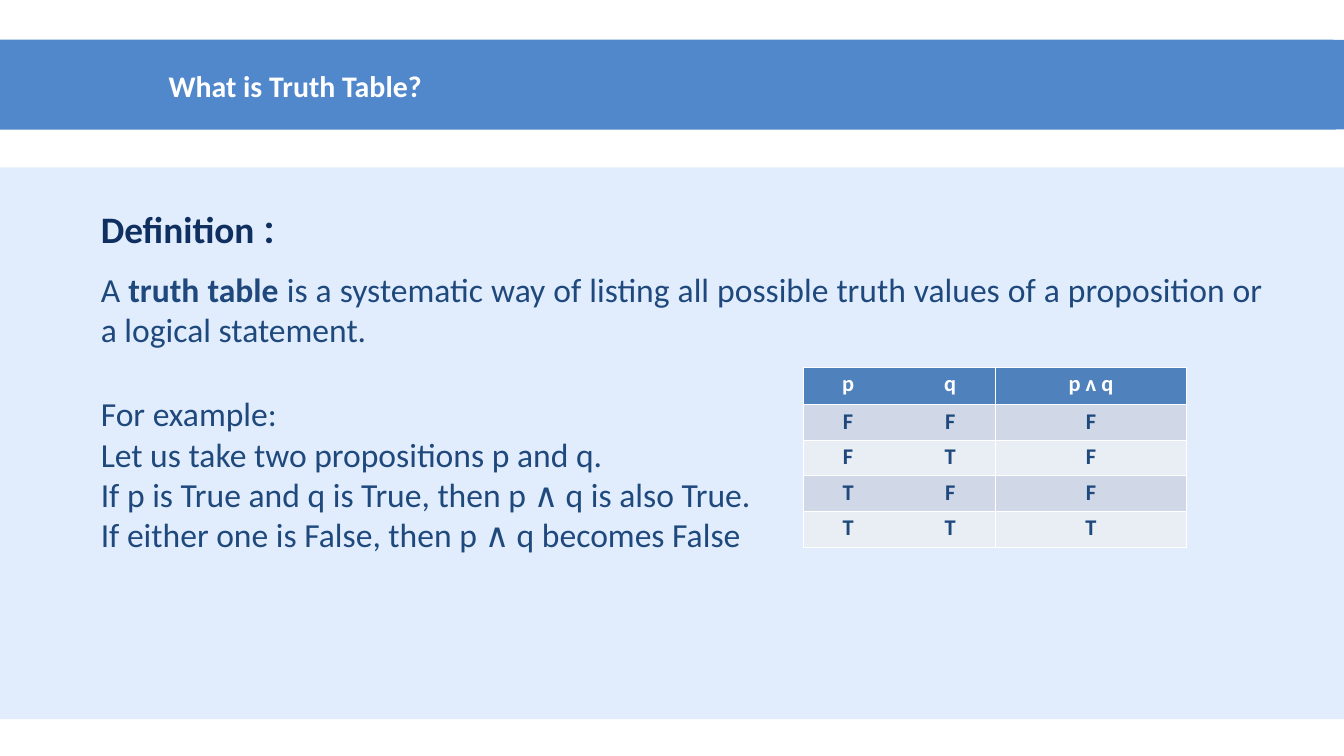
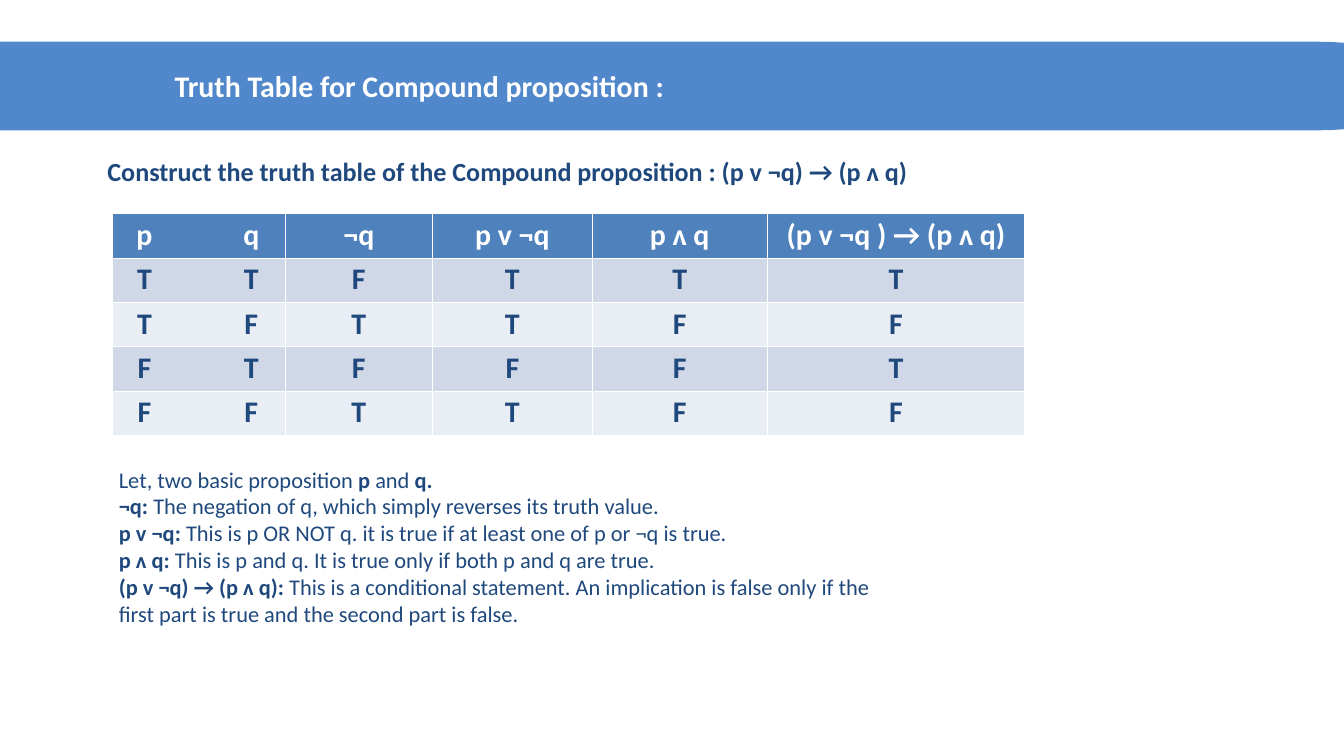
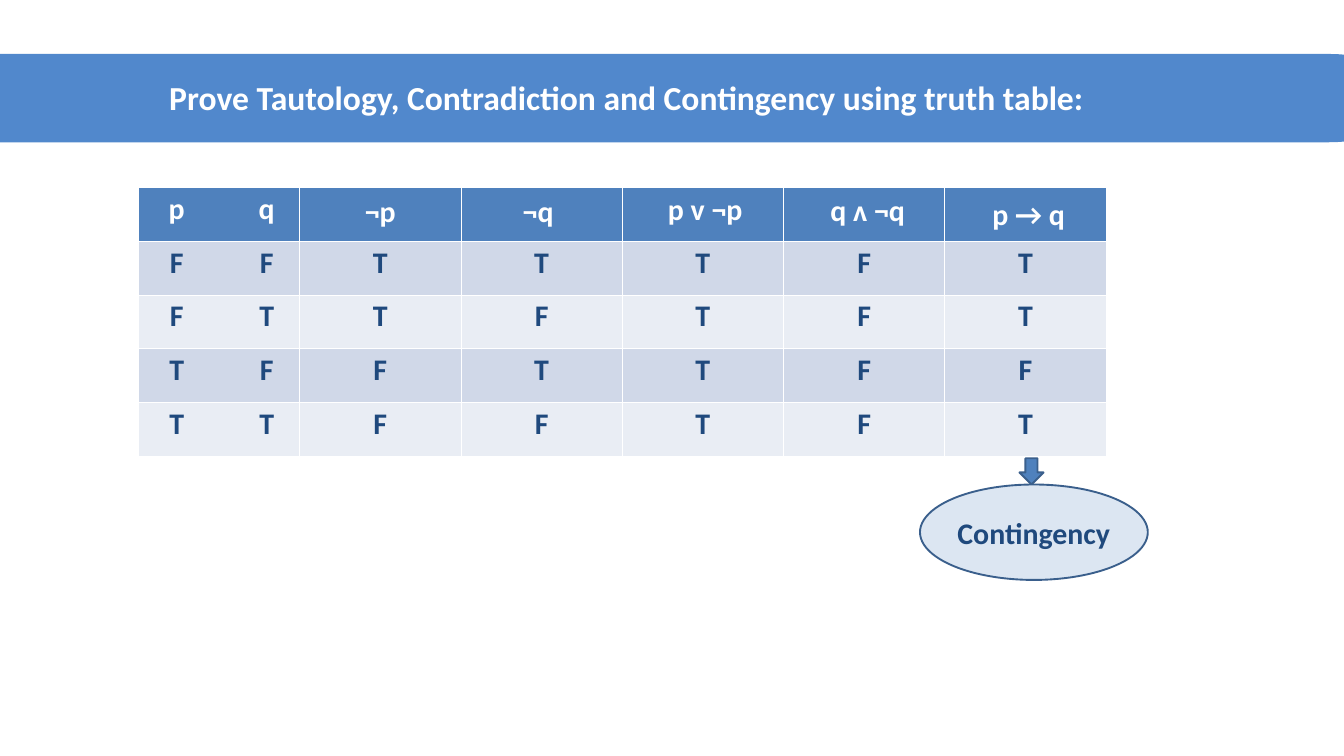
"""Build three slides that explain truth tables."""
from math import cos, pi, sin

from lxml.etree import SubElement
from pptx import Presentation
from pptx.dml.color import RGBColor
from pptx.enum.shapes import MSO_SHAPE as SHAPE
from pptx.enum.text import MSO_ANCHOR as ANCHOR, PP_ALIGN as ALIGN
from pptx.oxml.ns import qn
from pptx.util import Inches, Pt

rgb = RGBColor.from_string
WHITE, NAVY, INK = "FFFFFF", "0E2F5F", "1F497D"
BAND, PANEL, ACCENT = "5188CC", "E1EDFC", "4F81BD"
OUTLINE, BUBBLE = "3A5F8C", "DCE6F2"
STRIPES = ["D0D8E8", "E9EDF4"]
FONT = "Calibri"

prs = Presentation()
prs.slide_width, prs.slide_height = Inches(20), Inches(11.25)
COL = prs.slide_width // 20


def grid(*lengths):
    """Turn lengths counted in grid columns into slide units."""
    return [int(n * COL) for n in lengths]


def write(tf, paragraphs, size, color, align=ALIGN.LEFT):
    """Add paragraphs, with the parts between asterisks in bold."""
    for i, text in enumerate(paragraphs):
        p = tf.paragraphs[0] if i == 0 else tf.add_paragraph()
        p.alignment = align
        for k, part in enumerate(text.split("*")):
            if part:
                r = p.add_run()
                r.text = part
                f = r.font
                f.name, f.size, f.bold = FONT, Pt(size), k % 2 == 1
                f.color.rgb = rgb(color)


titles = [
    ("What is Truth Table?", -1.88, 0.59, 1.34, 2.41, 0.96, 32),
    ("Truth Table for Compound proposition :", -2.06, 0.62, 1.32, 2.5, 0.96, 32),
    ("Prove Tautology, Contradiction and Contingency using truth table:",
     -2, 0.8, 1.32, 2.42, 1.1, 36),
]
BAND_W, END_W, STEPS = 23.58, 1.94, 24
slides = []
for title, left, top, height, text_x, text_y, size in titles:
    s = prs.slides.add_slide(prs.slide_layouts[6])
    slides.append(s)
    if len(slides) == 1:
        sp = s.shapes.add_shape(SHAPE.ROUNDED_RECTANGLE, *grid(-0.67, 2.49, 21.15, 8.21))
        sp.adjustments[0] = 0.01
        sp.shadow.inherit = False
        sp.fill.solid()
        sp.fill.fore_color.rgb = rgb(PANEL)
        sp.line.fill.background()

    outline = []
    for center, start in [(left + BAND_W - END_W, -pi / 2), (left + END_W, pi / 2)]:
        for n in range(STEPS + 1):
            angle = start + pi * n / STEPS
            outline.append(grid(center + END_W * cos(angle),
                                top + height / 2 * (1 + sin(angle))))
    builder = s.shapes.build_freeform(*outline[0])
    builder.add_line_segments(outline[1:], close=True)
    band = builder.convert_to_shape()
    band.shadow.inherit = False
    band.fill.solid()
    band.fill.fore_color.rgb = rgb(BAND)
    band.line.fill.background()

    tf = s.shapes.add_textbox(*grid(text_x, text_y, 16.17, 0.64)).text_frame
    tf.word_wrap = True
    write(tf, [f"*{title}*"], size, WHITE)

definition, compound, proof = slides

tables = [
    (definition, 11.96, 5.46, [2.85] * 2, [0.56] + [0.53] * 4, 24, (0.56, 2.08),
     ["p q|p ʌ q", "F F|F", "F T|F", "T F|F", "T T|T"]),
    (compound, 1.67, 3.18, [2.57, 2.2, 2.37, 2.61, 3.83], [0.66] * 5, 32, (0.38, 1.97),
     ["p q|¬q|p v ¬q|p ʌ q|(p v ¬q ) → (p ʌ q)",
      "T T|F|T|T|T", "T F|T|T|F|F", "F T|F|F|F|T", "F F|T|T|F|F"]),
    (proof, 2.06, 2.79, [2.4] * 6, [0.8] * 5, 32, (0.47, 1.81),
     ["p q|||||", "F F|T|T|T|F|T", "F T|T|F|T|F|T", "T F|F|T|T|F|F", "T T|F|F|T|F|T"]),
]
for s, left, top, widths, heights, size, stops, rows in tables:
    box = grid(left, top, sum(widths), sum(heights))
    table = s.shapes.add_table(len(rows), len(widths), *box).table
    for column, width in zip(table.columns, grid(*widths)):
        column.width = width
    for i, (row, height) in enumerate(zip(table.rows, grid(*heights))):
        row.height = height
        for j, (cell, text) in enumerate(zip(row.cells, rows[i].split("|"))):
            cell.fill.solid()
            cell.fill.fore_color.rgb = rgb(STRIPES[(i - 1) % 2] if i else ACCENT)
            if j == 0:
                text = "\t" + text.replace(" ", "\t")
            write(cell.text_frame, [f"*{text}*"], size, INK if i else WHITE,
                  ALIGN.CENTER if j else ALIGN.LEFT)
            if j == 0:
                pPr = cell.text_frame.paragraphs[0]._p.get_or_add_pPr()
                tabs = SubElement(pPr, qn("a:tabLst"))
                for stop in grid(*stops):
                    SubElement(tabs, qn("a:tab"), pos=str(stop), algn="ctr")

plain_boxes = [
    ((1.5, 3.35, 3.47, 0.44), 40, NAVY, ["*Definition** :*"]),
    ((1.5, 4, 17.3, 1.21), 36, INK,
     ["A *truth table *is a systematic way of listing all possible truth values "
      "of a proposition or a logical statement."]),
    ((1.5, 5.85, 17.3, 3.03), 36, INK,
     ["For example:",
      "Let us take two propositions p and q.",
      "If p is True and q is True, then p ∧ q is also True.",
      "If either one is False, then p ∧ q becomes False"]),
]
for box, size, color, paragraphs in plain_boxes:
    tf = definition.shapes.add_textbox(*grid(*box)).text_frame
    tf.word_wrap = True
    tf.margin_left = tf.margin_top = tf.margin_right = tf.margin_bottom = 0
    write(tf, paragraphs, size, color, ALIGN.JUSTIFY)
    if size == 40:
        tf.paragraphs[0].line_spacing = Pt(28)
        tf.paragraphs[0].runs[1].font.name = "Roboto"

LABEL_W, LABEL_H = 1.42, 0.64
boxes = [
    (compound, (1.5, 2.27, 13.58, 0.57), 28, INK,
     ["*Construct the truth table of the Compound proposition : (p v ¬q) → (p ʌ q)*"]),
    (compound, (1.67, 6.88, 11.42, 2.83), 24, INK,
     ["Let, two basic proposition *p* and *q.*",
      "*¬q: *The negation of q, which simply reverses its truth value.",
      "*p v ¬q: *This is p OR NOT q. it is true if at least one of p or ¬q is true.",
      "*p ʌ q: *This is p and q. It is true only if both p and q are true.",
      "*(p v ¬q) → (p ʌ q): *This is a conditional statement. An implication is "
      "false only if the first part is true and the second part is false."]),
]
for label, x, y in [("¬p", 5.33, 2.82), ("¬q", 7.68, 2.82), ("p v ¬p", 9.84, 2.79),
                    ("q ʌ ¬q", 12.26, 2.8), ("p → q", 14.67, 2.86)]:
    boxes.append((proof, (x, y, LABEL_W, LABEL_H), 32, WHITE, [f"*{label}*"]))
for s, box, size, color, paragraphs in boxes:
    tf = s.shapes.add_textbox(*grid(*box)).text_frame
    tf.word_wrap = True
    write(tf, paragraphs, size, color)

for kind, box, fill in [(SHAPE.DOWN_ARROW, (15.17, 6.82, 0.36, 0.39), ACCENT),
                        (SHAPE.OVAL, (13.69, 7.21, 3.39, 1.42), BUBBLE)]:
    sp = proof.shapes.add_shape(kind, *grid(*box))
    sp.shadow.inherit = False
    sp.fill.solid()
    sp.fill.fore_color.rgb = rgb(fill)
    sp.line.color.rgb = rgb(OUTLINE)
    sp.line.width = Pt(2)
    if kind == SHAPE.OVAL:
        sp.text_frame.vertical_anchor = ANCHOR.MIDDLE
        sp.text_frame.word_wrap = False
        write(sp.text_frame, ["*Contingency*"], 32, INK, ALIGN.CENTER)

prs.save("out.pptx")
